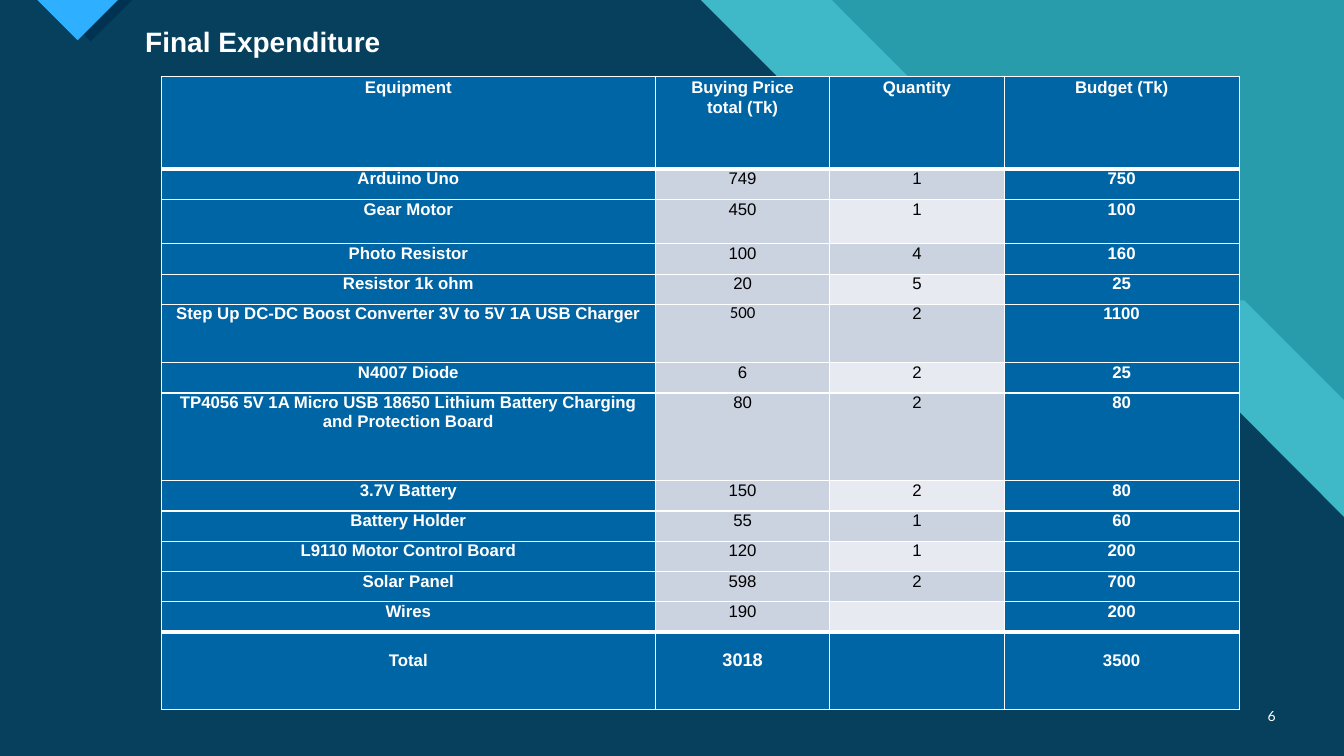
"""Build the final expenditure slide."""
from dataclasses import dataclass
from typing import Any

from lxml.etree import SubElement as Sub
from pptx import Presentation as Deck
from pptx.dml.color import RGBColor as Color
from pptx.enum.text import MSO_ANCHOR as Anchor, PP_ALIGN as Align
from pptx.oxml.ns import qn
from pptx.util import Inches, Pt


@dataclass(frozen=True)
class Theme:
    """Colours, fonts and type sizes."""
    teal: str = "299CAB"
    aqua: str = "47C3D3"
    navy: str = "003352"
    sky: str = "2FAFFF"
    blue: str = "0065A4"
    grey: str = "CCD3E0"
    pale: str = "E7EAF0"
    white: str = "FFFFFF"
    black: str = "000000"
    main: str = "Arial"
    odd: str = "Calibri"
    foot: str = "Lato"
    title: float = 20
    body: float = 12
    total: float = 13
    page: float = 10


@dataclass(frozen=True)
class Panel:
    """A filled outline with its corners in inches."""
    fill: str
    alpha: int
    dots: tuple[tuple[float, float], ...]


@dataclass(frozen=True)
class Label:
    """A single line of text in its own box."""
    text: str
    box: tuple[float, float, float, float]
    size: float
    font: str
    bold: bool
    align: Align
    inset: float


@dataclass(frozen=True)
class Row:
    """A table row with its height in inches."""
    high: float
    texts: tuple[str, str, str, str]


LOOK = Theme()
PANELS = (
    Panel(LOOK.aqua, 74, ((0, 0), (8.25, 0), (11.22, 2.98), (12.34, 2.98),
                          (13.33, 3.97), (13.33, 7.5), (0, 7.5))),
    Panel(LOOK.navy, 90, ((0, 0), (6.95, 0), (9.92, 2.97), (11.18, 2.97),
                          (13.33, 5.13), (13.33, 7.5), (0, 7.5))),
    Panel(LOOK.navy, 100, ((0.48, 0), (0.9, 0.41), (1.31, 0))),
    Panel(LOOK.sky, 100, ((0.37, 0), (0.77, 0.4), (1.17, 0))),
)
LABELS = (
    Label("Final Expenditure", (1.44, 0.17, 11, 0.48), LOOK.title, LOOK.main,
          True, Align.LEFT, 0),
    Label("6", (12.31, 6.9, 0.44, 0.4), LOOK.page, LOOK.foot,
          False, Align.RIGHT, 0.1),
)
WIDTHS = (4.9, 1.73, 1.73, 2.33)
PADS = (0.09, 0.16, 0.12, 0.26)
ROWS = (
    Row(0.92, ("Equipment", "Buying Price total (Tk)", "Quantity", "Budget (Tk)")),
    Row(0.3, ("Arduino Uno", "749", "1", "750")),
    Row(0.44, ("Gear Motor", "450", "1", "100")),
    Row(0.3, ("Photo Resistor", "100", "4", "160")),
    Row(0.3, ("Resistor 1k ohm", "20", "5", "25")),
    Row(0.58, ("Step Up DC-DC Boost Converter 3V to 5V 1A USB Charger",
               "500", "2", "1100")),
    Row(0.3, ("N4007 Diode", "6", "2", "25")),
    Row(0.87, ("TP4056 5V 1A Micro USB 18650 Lithium Battery Charging "
               "and Protection Board", "80", "2", "80")),
    Row(0.3, ("3.7V Battery", "150", "2", "80")),
    Row(0.3, ("Battery Holder", "55", "1", "60")),
    Row(0.3, ("L9110 Motor Control Board", "120", "1", "200")),
    Row(0.3, ("Solar Panel", "598", "2", "700")),
    Row(0.3, ("Wires", "190", "", "200")),
    Row(0.77, ("Total", "3018", "", "3500")),
)
LAST = len(ROWS) - 1


def apply(item: Any, values: dict[str, Any]) -> None:
    """Set each named attribute of an item."""
    for name, value in values.items():
        setattr(item, name, value)


def paint(fill: Any, tone: str) -> None:
    """Give a fill one solid colour."""
    fill.solid()
    fill.fore_color.rgb = Color.from_string(tone)


def write(para: Any, text: str, size: float, font: str, bold: bool, tone: str) -> None:
    """Add one formatted run to a paragraph."""
    run = para.add_run()
    run.text = text
    apply(run.font, {"size": Pt(size), "name": font, "bold": bold})
    run.font.color.rgb = Color.from_string(tone)


def draw_panel(slide: Any, panel: Panel) -> None:
    """Draw a panel of the backdrop."""
    dots = [(Inches(x), Inches(y)) for x, y in panel.dots]
    pen = slide.shapes.build_freeform(*dots[0])
    pen.add_line_segments(dots[1:], close=True)
    shape = pen.convert_to_shape()
    shape.shadow.inherit = False
    paint(shape.fill, panel.fill)
    shape.line.fill.background()
    if panel.alpha < 100:
        tone = shape.element.spPr.find(f".//{qn('a:srgbClr')}")
        Sub(tone, qn("a:alpha"), val=str(panel.alpha * 1000))


def draw_label(slide: Any, label: Label) -> None:
    """Draw a line of text in its box."""
    frame = slide.shapes.add_textbox(*map(Inches, label.box)).text_frame
    side = Inches(label.inset)
    apply(frame, {"word_wrap": True, "vertical_anchor": Anchor.MIDDLE,
                  "margin_left": side, "margin_right": side,
                  "margin_top": 0, "margin_bottom": 0})
    para = frame.paragraphs[0]
    para.alignment = label.align
    write(para, label.text, label.size, label.font, label.bold, LOOK.white)


def edge(cell: Any, row: int) -> None:
    """Rule the four sides of a cell."""
    thick = {"B": row in (0, LAST - 1), "T": row in (1, LAST)}
    props = cell._tc.get_or_add_tcPr()
    for spot, side in enumerate("LRTB"):
        width = Pt(3 if thick.get(side) else 1)
        line = Sub(props, qn(f"a:ln{side}"), w=str(width))
        Sub(Sub(line, qn("a:solidFill")), qn("a:srgbClr"), val=LOOK.white)
        props.insert(spot, line)


def fill_cell(cell: Any, text: str, row: int, col: int) -> None:
    """Colour, rule and write one cell."""
    strong = row in (0, LAST) or col in (0, 3)
    light = LOOK.pale if col == 2 and row % 2 == 0 else LOOK.grey
    paint(cell.fill, LOOK.blue if strong else light)
    edge(cell, row)
    pad = Inches(PADS[col])
    apply(cell, {"margin_left": pad, "margin_right": pad, "margin_bottom": 0,
                 "margin_top": Inches(0.19 if row == LAST else 0)})
    para = cell.text_frame.paragraphs[0]
    apply(para, {"alignment": Align.CENTER,
                 "line_spacing": Pt(14.6 if row == 0 else 13.7)})
    if text:
        size = LOOK.total if (row, col) == (LAST, 1) else LOOK.body
        font = LOOK.odd if text == "500" else LOOK.main
        write(para, text, size, font, strong, LOOK.white if strong else LOOK.black)
    else:
        Sub(para._p, qn("a:endParaRPr"), sz=str(int(LOOK.body * 100)))


def draw_table(slide: Any) -> None:
    """Draw the table of costs."""
    high = sum(row.high for row in ROWS)
    box = map(Inches, (1.6, 0.76, sum(WIDTHS), high))
    table = slide.shapes.add_table(len(ROWS), len(WIDTHS), *box).table
    for col, width in zip(table.columns, WIDTHS):
        col.width = Inches(width)
    for r, row in enumerate(ROWS):
        table.rows[r].height = Inches(row.high)
        for c, text in enumerate(row.texts):
            fill_cell(table.cell(r, c), text, r, c)


def main() -> None:
    """Build and save the deck."""
    deck = Deck()
    apply(deck, {"slide_width": Inches(13.33), "slide_height": Inches(7.5)})
    slide = deck.slides.add_slide(deck.slide_layouts[6])
    paint(slide.background.fill, LOOK.teal)
    for panel in PANELS:
        draw_panel(slide, panel)
    draw_table(slide)
    for label in LABELS:
        draw_label(slide, label)
    deck.save("out.pptx")


if __name__ == "__main__":
    main()
